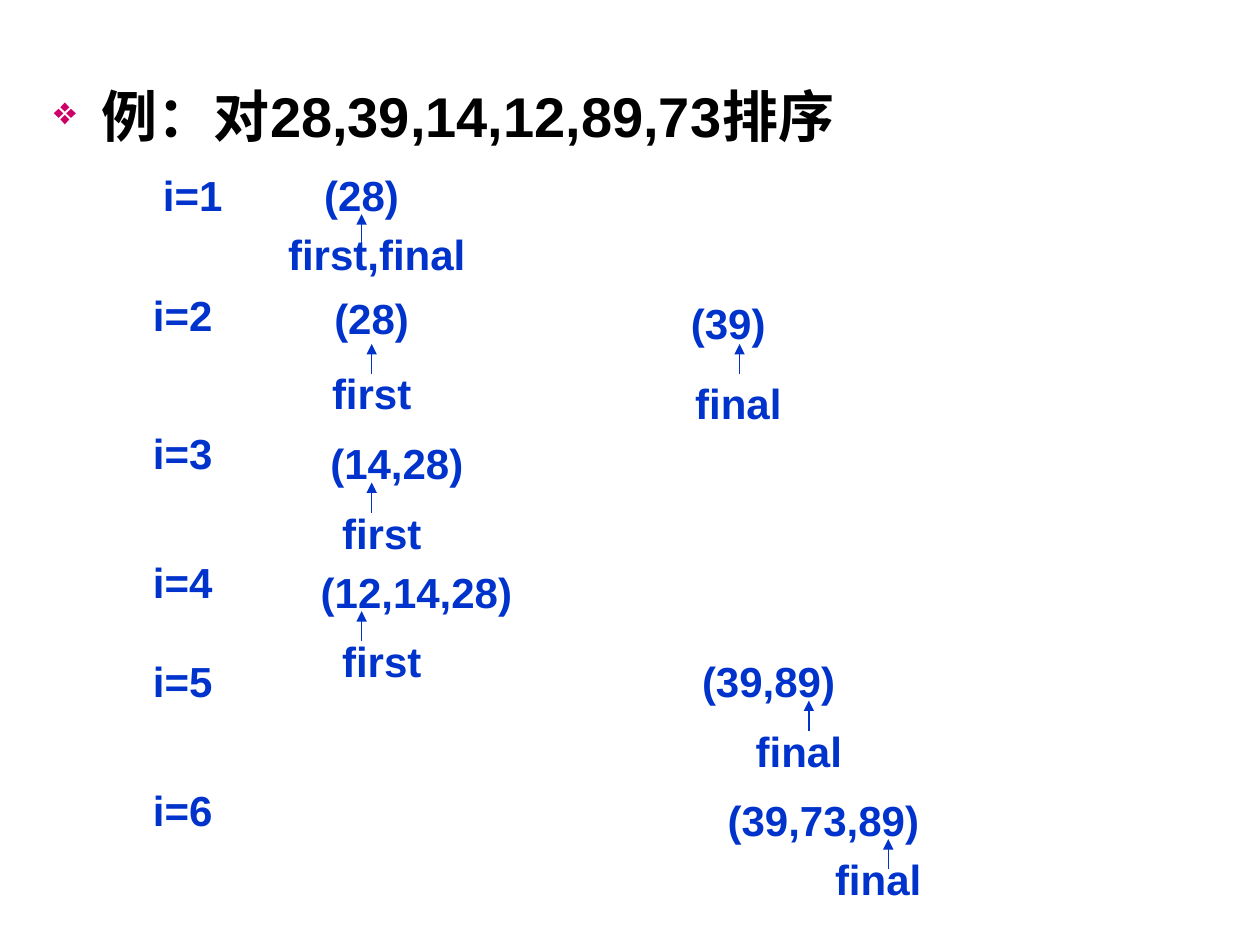
from lxml.etree import SubElement
from pptx import Presentation
from pptx.dml.color import RGBColor
from pptx.enum.shapes import MSO_CONNECTOR
from pptx.enum.text import MSO_ANCHOR, PP_ALIGN
from pptx.oxml.ns import qn
from pptx.util import Pt

PX = 9144  # EMU in one px, 100 px to the inch
BLUE = "0033CC"


def color(value):
    return RGBColor.from_string(value)


def add_text(text, left, top, width, height, size=24, fill=BLUE, wrap=False, inset=0,
             align=PP_ALIGN.CENTER, anchor=MSO_ANCHOR.MIDDLE, bullet=None):
    box = slide.shapes.add_textbox(left * PX, top * PX, width * PX, height * PX)
    frame = box.text_frame
    frame.word_wrap = wrap
    frame.margin_left = frame.margin_right = inset * PX
    frame.vertical_anchor = anchor
    paragraph = frame.paragraphs[0]
    paragraph.alignment = align
    if bullet:
        properties = paragraph._p.get_or_add_pPr()
        properties.set("marL", str(38 * PX))
        properties.set("indent", str(-38 * PX))
        bullet_color = SubElement(properties, qn("a:buClr"))
        SubElement(bullet_color, qn("a:srgbClr"), val="CC0066")
        SubElement(properties, qn("a:buSzPct"), val="70000")
        SubElement(properties, qn("a:buChar"), char=bullet)
    run = paragraph.add_run()
    run.text = text
    run.font.name = "Arial"
    run.font.size = Pt(size)
    run.font.bold = True
    run.font.color.rgb = color(fill)


presentation = Presentation()
presentation.slide_width = 1000 * PX
presentation.slide_height = 750 * PX
slide = presentation.slides.add_slide(presentation.slide_layouts[6])

# Title line
add_text("例：对28,39,14,12,89,73排序", 33, 60, 934, 669, size=32, fill="000000",
         wrap=True, inset=10, align=PP_ALIGN.LEFT, anchor=MSO_ANCHOR.TOP, bullet="❖")

# Step labels: left, top, height
steps = [(106, 131, 47), (98, 218, 63), (98, 336, 47),
         (98, 438, 47), (98, 517, 47), (98, 619, 47)]
for number, (left, top, height) in enumerate(steps, start=1):
    add_text(f"i={number}", left, top, 94, height)

# Sorted parts and pointer names: text, left, top, width
labels = [
    ("(28)", 240, 131, 94), ("first,final", 224, 178, 150),
    ("(28)", 248, 229, 94), ("first", 248, 288, 94),
    ("(39)", 531, 233, 94), ("final", 539, 296, 94),
    ("(14,28)", 256, 344, 118), ("first", 256, 399, 94),
    ("(12,14,28)", 248, 446, 165), ("first", 256, 501, 94),
    ("(39,89)", 547, 517, 126), ("final", 587, 572, 94),
    ("(39,73,89)", 563, 627, 181), ("final", 650, 674, 94),
]
for text, left, top, width in labels:
    add_text(text, left, top, width, 47)

# Pointer arrows, all upward and of one length: x, tip y
for x, tip in [(287, 170), (295, 273), (587, 273), (295, 383),
               (287, 485), (642, 556), (705, 666)]:
    arrow = slide.shapes.add_connector(
        MSO_CONNECTOR.STRAIGHT, x * PX, (tip + 24) * PX, x * PX, tip * PX)
    arrow.line.color.rgb = color(BLUE)
    arrow.line.width = Pt(0.75)
    SubElement(arrow.line._get_or_add_ln(), qn("a:tailEnd"), type="triangle")
    SubElement(arrow._element.spPr, qn("a:effectLst"))

presentation.save("out.pptx")
